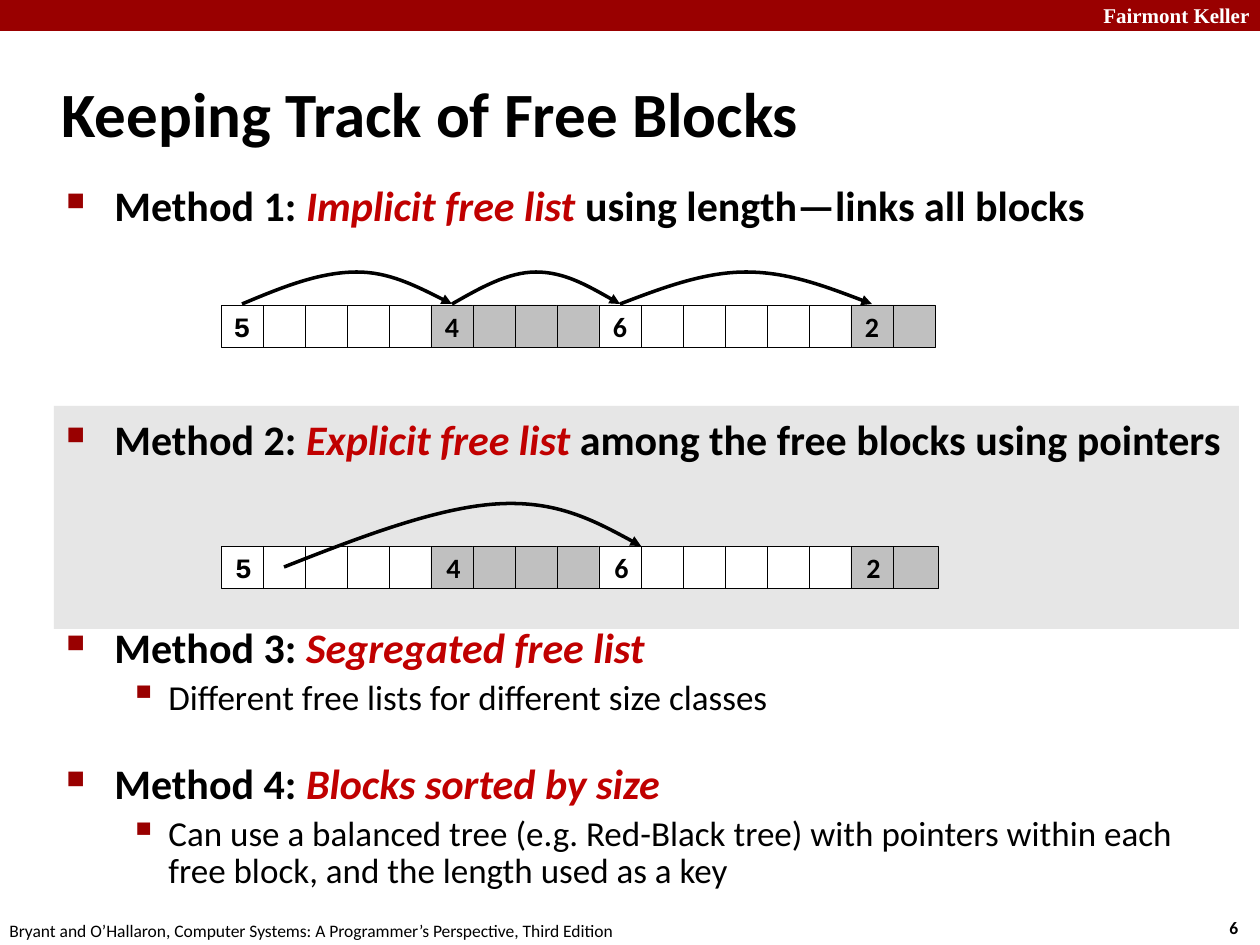
from dataclasses import dataclass

from pptx import Presentation
from pptx.dml.color import RGBColor
from pptx.enum.shapes import MSO_SHAPE
from pptx.enum.text import MSO_ANCHOR as Anchor, PP_ALIGN as Align
from pptx.oxml.ns import qn
from pptx.util import Emu, Pt
from lxml.etree import SubElement


@dataclass(frozen=True)
class Theme:
    black: str = "000000"
    white: str = "FFFFFF"
    banner: str = "990000"
    accent: str = "C00000"
    band: str = "E6E6E6"
    allocated: str = "C0C0C0"
    sans: str = "Calibri"
    mono: str = "Courier New"
    serif: str = "Times New Roman"
    title: int = 36
    method: int = 24
    detail: int = 20
    cell: int = 16
    header: int = 12
    footer: int = 10


THEME = Theme()
CELL = 42
# Word count of each block, and whether it is allocated
BLOCKS = [(5, False), (4, True), (6, False), (2, True)]

# Text before the key term, the term, text after it, detail line,
# space before in points, line spacing
METHODS = [
    ("Method 1: ", "Implicit free list ", "using length—links all blocks", "", 0, 1.0),
    ("Method 2: ", "Explicit free list ", "among the free blocks using pointers", "", 105, 1.0),
    ("Method 3: ", "Segregated free list", "",
     "Different free lists for different size classes", 95, 0.83),
    ("Method 4: ", "Blocks sorted by size", "",
     "Can use a balanced tree (e.g. Red-Black tree) with pointers within each "
     "free block, and the length used as a key", 28, 0.83),
]


def px(length):
    return Emu(round(length * 914400 / 126))


def apply(target, values):
    for name, value in values.items():
        setattr(target, name, value)


def add_run(paragraph, text, size, color=THEME.black, font=THEME.sans, **style):
    run = paragraph.add_run()
    run.text = text
    apply(run.font, {"size": Pt(size), "name": font, **style})
    run.font.color.rgb = RGBColor.from_string(color)


def add_rect(slide, box, fill, outlined=False):
    rect = slide.shapes.add_shape(MSO_SHAPE.RECTANGLE, *map(px, box))
    rect.shadow.inherit = False
    rect.fill.solid()
    rect.fill.fore_color.rgb = RGBColor.from_string(fill)
    if outlined:
        rect.line.color.rgb = RGBColor.from_string(THEME.black)
        rect.line.width = Pt(0.25)
    else:
        rect.line.fill.background()
    return rect


def add_label(slide, box, text, size, wrap=False, align=Align.LEFT, **style):
    frame = slide.shapes.add_textbox(*map(px, box)).text_frame
    frame.word_wrap = wrap
    frame.paragraphs[0].alignment = align
    add_run(frame.paragraphs[0], text, size, **style)


def add_banner(slide, box):
    left, top, width, height = box
    add_rect(slide, box, THEME.banner)
    add_label(slide, (left + width - 178, top - 4, 180, height + 7), "Fairmont Keller",
              THEME.header, wrap=True, align=Align.RIGHT, color=THEME.white,
              font=THEME.serif, bold=True)


def add_footer(slide, box):
    left, top, width, height = box
    add_label(slide, (left - 3, top + 3, 640, height),
              "Bryant and O’Hallaron, Computer Systems: A Programmer’s Perspective, Third Edition",
              THEME.footer)
    add_label(slide, (left + width - 43, top, 47, height), "6", THEME.footer, bold=True)


def add_title(slide, box):
    title = slide.shapes.title
    apply(title, dict(zip(("left", "top", "width", "height"), map(px, box))))
    title.text_frame.vertical_anchor = Anchor.MIDDLE
    heading = title.text_frame.paragraphs[0]
    heading.alignment = Align.LEFT
    add_run(heading, "Keeping Track of Free Blocks", THEME.title, bold=True)


def add_bullet(paragraph, char, percent, margin, hanging):
    props = paragraph._p.get_or_add_pPr()
    props.set("marL", str(px(margin)))
    props.set("indent", str(-px(hanging)))
    color = SubElement(props, qn("a:buClr"))
    SubElement(color, qn("a:srgbClr"), val=THEME.banner)
    SubElement(props, qn("a:buSzPct"), val=str(percent * 1000))
    SubElement(props, qn("a:buChar"), char=char)


def add_methods(slide, box):
    frame = slide.shapes.add_textbox(*map(px, box)).text_frame
    frame.word_wrap = True
    for index, (lead, term, rest, detail, before, spacing) in enumerate(METHODS):
        method = frame.add_paragraph() if index else frame.paragraphs[0]
        apply(method, {"space_before": Pt(before), "line_spacing": spacing})
        add_bullet(method, "■", 60, 48, 48)
        add_run(method, lead, THEME.method, bold=True)
        add_run(method, term, THEME.method, THEME.accent, bold=True, italic=True)
        if rest:
            add_run(method, rest, THEME.method, bold=True)
        if detail:
            note = frame.add_paragraph()
            apply(note, {"space_before": Pt(5), "line_spacing": 0.88, "level": 1})
            add_bullet(note, "▪", 110, 102, 39)
            add_run(note, detail, THEME.detail)


def add_heap(slide, left, top, cell_width):
    """Draw the blocks as a row of words, the first of each holding its length."""
    for index, (length, allocated) in enumerate(BLOCKS):
        fill = THEME.allocated if allocated else THEME.white
        for word in range(length):
            cell = add_rect(slide, (left, top, cell_width, CELL), fill, outlined=True)
            left += CELL
            if word == 0:
                apply(cell.text_frame, {"word_wrap": False, "vertical_anchor": Anchor.MIDDLE})
                size = cell.text_frame.paragraphs[0]
                size.alignment = Align.CENTER
                add_run(size, str(length), THEME.cell, bold=True,
                        font=THEME.sans if index else THEME.mono)


def add_curved_arrow(slide, points):
    """Draw a start point followed by triples of cubic Bézier points."""
    start, *controls = [(px(x), px(y)) for x, y in points]
    builder = slide.shapes.build_freeform(*start)
    builder.add_line_segments(controls, close=False)
    arrow = builder.convert_to_shape()
    arrow.shadow.inherit = False
    arrow.fill.background()
    arrow.line.color.rgb = RGBColor.from_string(THEME.black)
    arrow.line.width = Pt(2)
    SubElement(arrow.line._get_or_add_ln(), qn("a:tailEnd"), type="triangle")
    outline = next(arrow._element.iter(qn("a:path")))
    segments = outline.findall(qn("a:lnTo"))
    for first in range(0, len(segments), 3):
        curve = SubElement(outline, qn("a:cubicBezTo"))
        for segment in segments[first:first + 3]:
            curve.append(segment[0])
            outline.remove(segment)


def add_hop(slide, start, peak, end, base, height):
    rise, fall = (peak - start) / 3, (end - peak) / 3
    xs = [start, start + rise, start + 2 * rise, peak, peak + fall, peak + 2 * fall, end]
    lifts = [0, 0.5, 1, 1, 1, 0.5, 0]
    add_curved_arrow(slide, [(x, base - height * lift) for x, lift in zip(xs, lifts)])


def add_implicit_list(slide, left, top):
    add_heap(slide, left, top, CELL)
    start = left + CELL // 2
    for (length, _), skew in zip(BLOCKS[:-1], (10, 0, 0)):
        end = start + length * CELL
        add_hop(slide, start, (start + end) / 2 + skew, end, top - 1, 32)
        start = end


def add_explicit_list(slide, left, top):
    add_heap(slide, left, top, CELL + 3)
    pointer = [(63, 21), (139, -9), (215, -38), (275, -42), (335, -46), (378, -23), (420, 0)]
    add_curved_arrow(slide, [(left + x, top + y) for x, y in pointer])


def main():
    deck = Presentation()
    apply(deck, {"slide_width": px(1260), "slide_height": px(945)})
    slide = deck.slides.add_slide(deck.slide_layouts[5])
    add_banner(slide, (0, 0, 1260, 31))
    add_footer(slide, (0, 911, 1260, 34))
    add_rect(slide, (54, 406, 1185, 223), THEME.band)
    add_title(slide, (49, 60, 1046, 105))
    add_methods(slide, (54, 173, 1185, 741))
    add_implicit_list(slide, 221, 305)
    add_explicit_list(slide, 221, 546)
    deck.save("out.pptx")


if __name__ == "__main__":
    main()
